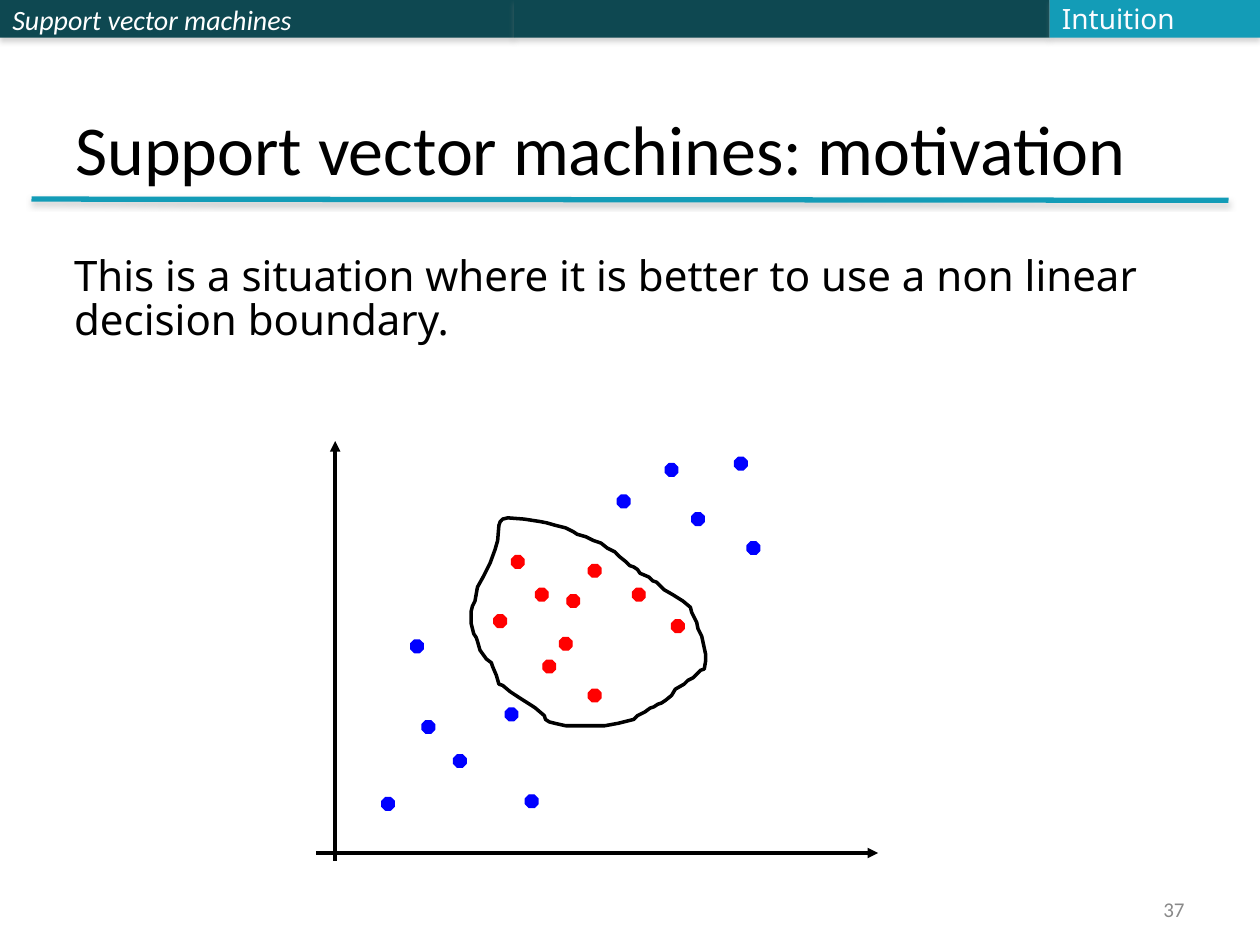
from dataclasses import dataclass

from lxml import etree
from pptx import Presentation
from pptx import util as u
from pptx.dml import color
from pptx.enum import shapes, text
from pptx.oxml import ns

BLACK, WHITE, TEAL, DARK = "000000", "FFFFFF", "139CB7", "0E4851"
RED, BLUE = "FF0000", "0000FF"


@dataclass
class Box:
    x: float
    y: float
    w: float
    h: float


@dataclass
class Font:
    size: int
    face: str = "Calibri"
    tint: str = BLACK
    slant: bool = False


@dataclass
class Bar:
    x: float
    w: float
    tint: str
    words: str = ""


@dataclass
class Line:
    start: tuple[float, float]
    end: tuple[float, float]


BARS = [
    Bar(0, 4.08, DARK, "Support vector machines"),
    Bar(4.08, 4.25, DARK),
    Bar(8.33, 1.67, TEAL),
]
AXES = [Line((2.66, 6.83), (2.66, 3.5)), Line((2.51, 6.77), (6.97, 6.77))]
DOTS = {
    RED: [
        (4.67, 5.47), (4.06, 4.41), (4.44, 5.06), (5.02, 4.67), (4.5, 4.72),
        (4.31, 5.24), (4.25, 4.67), (3.92, 4.88), (5.33, 4.92), (4.67, 4.48),
    ],
    BLUE: [
        (4.9, 3.93), (3.03, 6.33), (5.83, 3.63), (3.6, 5.99), (3.26, 5.08),
        (3.35, 5.72), (4.17, 6.31), (5.49, 4.07), (5.28, 3.68), (4.01, 5.62),
        (5.93, 4.3),
    ],
}
EDGE = [
    (374, 485), (375, 481), (377, 477), (379, 466), (384, 457), (389, 447),
    (393, 436), (395, 429), (396, 417), (397, 414), (399, 412), (403, 411),
    (416, 412), (429, 414), (434, 415), (441, 417), (449, 419), (455, 422),
    (458, 424), (465, 426), (471, 429), (477, 431), (482, 435), (488, 438),
    (492, 442), (497, 446), (500, 449), (503, 450), (506, 452), (508, 455),
    (515, 458), (518, 461), (521, 462), (527, 468), (534, 472), (542, 477),
    (548, 482), (549, 486), (551, 490), (553, 494), (554, 499), (557, 505),
    (560, 519), (560, 525), (559, 531), (556, 532), (550, 538), (546, 540),
    (543, 543), (536, 547), (533, 552), (528, 556), (525, 558), (522, 559),
    (519, 561), (516, 562), (512, 565), (506, 568), (503, 571), (491, 574),
    (480, 576), (460, 576), (449, 576), (440, 574), (436, 573), (433, 571),
    (432, 568), (425, 562), (422, 560), (411, 553), (405, 549), (399, 544),
    (396, 543), (394, 536), (391, 529), (390, 526), (386, 523), (381, 516),
    (379, 509), (378, 506), (376, 503), (374, 495),
]


def hue(code: str) -> color.RGBColor:
    return color.RGBColor.from_string(code)


def place(box: Box) -> list[int]:
    return [u.Inches(n) for n in (box.x, box.y, box.w, box.h)]


def fill(shape, tint: str) -> None:
    shape.fill.solid()
    shape.fill.fore_color.rgb = hue(tint)


def stroke(shape, tint: str, width: float) -> None:
    shape.line.color.rgb = hue(tint)
    shape.line.width = u.Pt(width)


def shade(shape, dist: float, alpha: int) -> None:
    props = shape._element.spPr
    for old in props.findall(ns.qn("a:effectLst")):
        props.remove(old)
    glow = etree.SubElement(
        etree.SubElement(props, ns.qn("a:effectLst")), ns.qn("a:outerShdw"),
        blurRad=str(u.Pt(3.1)), dist=str(u.Pt(dist)), dir="5400000",
        algn="t", rotWithShape="0")
    tone = etree.SubElement(glow, ns.qn("a:srgbClr"), val="808080")
    etree.SubElement(tone, ns.qn("a:alpha"), val=str(alpha * 1000))


def write(frame, lines: list[str], font: Font, anchor=text.MSO_ANCHOR.MIDDLE,
          align=text.PP_ALIGN.LEFT, wrap: bool = True) -> None:
    frame.word_wrap = wrap
    frame.vertical_anchor = anchor
    for i, line in enumerate(lines):
        para = frame.add_paragraph() if i else frame.paragraphs[0]
        para.alignment = align
        run = para.add_run()
        run.text = line
        run.font.size = u.Pt(font.size)
        run.font.name = font.face
        run.font.italic = font.slant
        run.font.color.rgb = hue(font.tint)


def label(slide, box: Box, lines: list[str], font: Font, **opts):
    frame = slide.shapes.add_textbox(*place(box)).text_frame
    write(frame, lines, font, **opts)
    return frame


def draw_bar(slide, bar: Bar) -> None:
    shape = slide.shapes.add_shape(
        shapes.MSO_SHAPE.RECTANGLE, *place(Box(bar.x, 0, bar.w, 0.3)))
    fill(shape, bar.tint)
    shape.line.fill.background()
    shade(shape, 1.8, 35)
    if bar.words:
        write(shape.text_frame, [bar.words], Font(16, tint=WHITE, slant=True))


def draw_line(slide, line: Line, tint: str, width: float):
    ends = [u.Inches(n) for n in (*line.start, *line.end)]
    link = slide.shapes.add_connector(shapes.MSO_CONNECTOR.STRAIGHT, *ends)
    stroke(link, tint, width)
    return link


def draw_axis(slide, line: Line) -> None:
    link = draw_line(slide, line, BLACK, 2)
    etree.SubElement(link.line._get_or_add_ln(), ns.qn("a:tailEnd"),
                     type="triangle")
    etree.SubElement(link._element.spPr, ns.qn("a:effectLst"))


def draw_dot(slide, x: float, y: float, tint: str) -> None:
    dot = slide.shapes.add_shape(
        shapes.MSO_SHAPE.OCTAGON, *place(Box(x, y, 0.1, 0.1)))
    dot.shadow.inherit = False
    fill(dot, tint)
    stroke(dot, tint, 0.75)


def draw_edge(slide) -> None:
    pen = slide.shapes.build_freeform(*EDGE[0], scale=u.Inches(0.01))
    pen.add_line_segments(EDGE[1:], close=True)
    shape = pen.convert_to_shape()
    shape.shadow.inherit = False
    shape.fill.background()
    stroke(shape, BLACK, 2)


def main() -> None:
    deck = Presentation()
    deck.slide_width, deck.slide_height = u.Inches(10), u.Inches(7.5)
    slide = deck.slides.add_slide(deck.slide_layouts[6])
    for bar in BARS:
        draw_bar(slide, bar)
    shade(draw_line(slide, Line((0.25, 1.58), (9.75, 1.59)), TEAL, 3), 1.6, 38)
    label(slide, Box(0.5, 0.3, 9, 1.25), ["Support vector machines: motivation"],
          Font(40), anchor=text.MSO_ANCHOR.BOTTOM)
    for axis in AXES:
        draw_axis(slide, axis)
    for tint, spots in DOTS.items():
        for x, y in spots:
            draw_dot(slide, x, y, tint)
    label(slide, Box(7.17, 7.08, 2.33, 0.27), ["37"], Font(12, tint="898989"),
          align=text.PP_ALIGN.RIGHT)
    body = label(slide, Box(0.49, 1.95, 9.14, 0.91), [
        "This is a situation where it is better to use a non linear",
        "decision boundary.",
    ], Font(24, "Noto Sans"), anchor=text.MSO_ANCHOR.TOP)
    body.margin_top = u.Inches(0.08)
    for para in body.paragraphs:
        para.line_spacing = 0.88
    draw_edge(slide)
    label(slide, Box(8.33, -0.04, 1.12, 0.37), ["Intuition"],
          Font(16, "Noto Sans", "FBFCFF"), wrap=False)
    deck.save("out.pptx")


if __name__ == "__main__":
    main()
